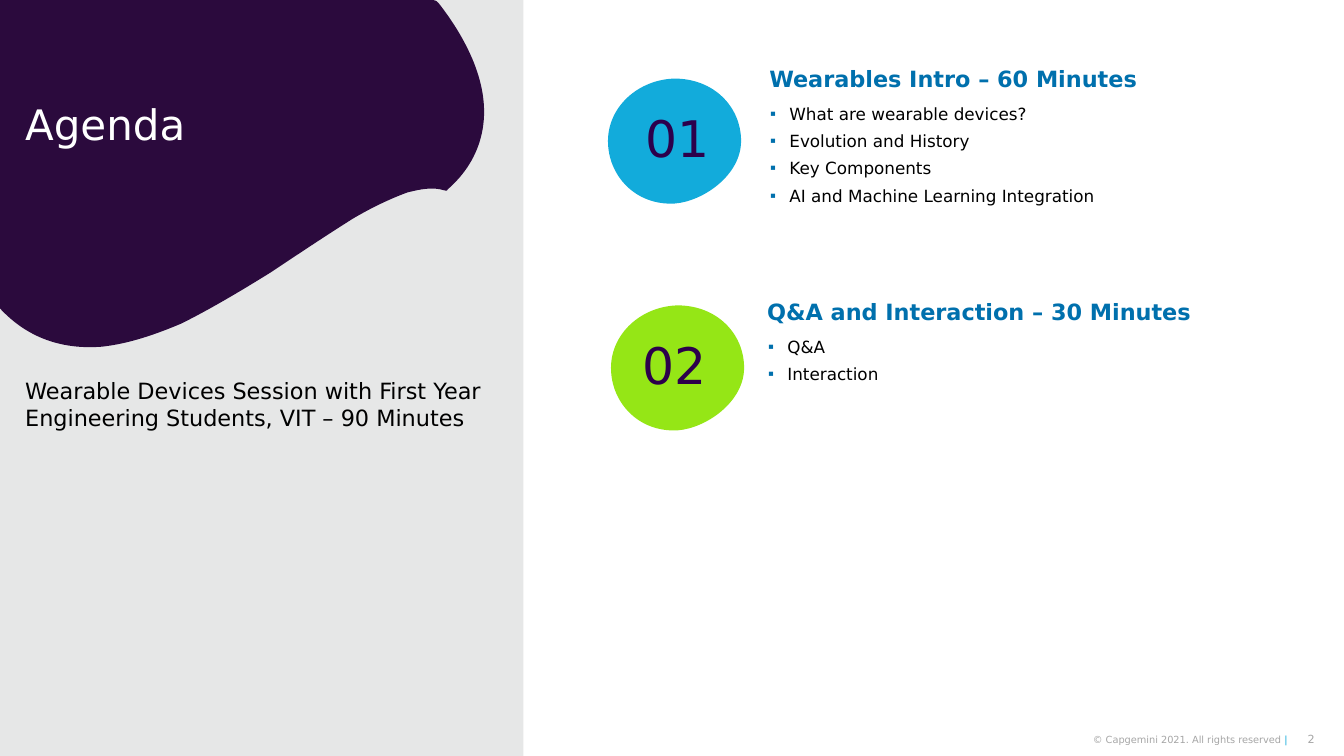
from dataclasses import dataclass

from lxml import etree
from pptx import Presentation
from pptx import util as u
from pptx.dml.color import RGBColor
from pptx.enum import shapes, text
from pptx.oxml.ns import qn


@dataclass(frozen=True)
class Theme:
    font: str = "DejaVu Sans"
    bullet_font: str = "Arial"
    white: str = "FFFFFF"
    black: str = "000000"
    panel: str = "E6E7E7"
    plum: str = "2B0A3D"
    number: str = "2C004B"
    blue: str = "0070AD"
    cyan: str = "12ABDB"
    green: str = "95E616"
    grey: str = "A6A6A6"
    title_size: float = 30
    number_size: float = 36
    heading_size: float = 16
    bullet_size: float = 12
    page_size: float = 8
    footer_size: float = 7


COVER_START = (0, 3.05)
COVER_CURVES = [
    (0, 3.02, 0, 2.99, 0, 2.97),
    (0, 1.99, 0, 1.01, 0, 0.03),
    (0, 0.02, 0, 0.01, 0, 0),
    (0.04, 0, 0.09, 0, 0.13, 0),
    (1.51, 0, 2.9, 0, 4.29, 0),
    (4.32, 0, 4.33, 0.01, 4.35, 0.03),
    (4.49, 0.21, 4.61, 0.4, 4.7, 0.62),
    (4.79, 0.85, 4.83, 1.08, 4.78, 1.32),
    (4.73, 1.55, 4.61, 1.73, 4.44, 1.88),
    (4.44, 1.89, 4.43, 1.9, 4.41, 1.89),
    (4.29, 1.85, 4.16, 1.88, 4.04, 1.91),
    (3.85, 1.98, 3.67, 2.07, 3.5, 2.17),
    (3.23, 2.34, 2.96, 2.52, 2.69, 2.7),
    (2.4, 2.88, 2.1, 3.06, 1.8, 3.21),
    (1.54, 3.32, 1.28, 3.41, 1.01, 3.44),
    (0.61, 3.47, 0.27, 3.35, 0, 3.06),
    (0, 3.06, 0, 3.06, 0, 3.05),
]
BLOB_START = (0, 0.62)
BLOB_CURVES = [
    (0, 0.28, 0.3, 0.01, 0.66, 0),
    (1.05, 0, 1.32, 0.28, 1.32, 0.62),
    (1.32, 0.96, 0.94, 1.22, 0.66, 1.24),
    (0.27, 1.26, 0, 0.96, 0, 0.62),
]


class SlideBuilder:
    def __init__(self, slide, theme):
        self.slide = slide
        self.theme = theme

    def paint(self, shape, color):
        shape.shadow.inherit = False
        shape.fill.solid()
        shape.fill.fore_color.rgb = RGBColor.from_string(color)
        shape.line.fill.background()

    def rectangle(self, left, top, width, height, color):
        shape = self.slide.shapes.add_shape(
            shapes.MSO_SHAPE.RECTANGLE,
            *map(u.Inches, (left, top, width, height)))
        self.paint(shape, color)

    def curved(self, start, curves, color, left=0, top=0):
        pairs = [start]
        for curve in curves:
            pairs += zip(curve[::2], curve[1::2])
        points = [(u.Inches(left + x), u.Inches(top + y)) for x, y in pairs]
        builder = self.slide.shapes.build_freeform(*points[0])
        builder.add_line_segments(points[1:], close=True)
        shape = builder.convert_to_shape()
        self.paint(shape, color)
        segments = list(shape._element.iter(qn("a:lnTo")))
        for index in range(0, len(segments), 3):
            bend, *rest = segments[index:index + 3]
            bend.tag = qn("a:cubicBezTo")
            for segment in rest:
                bend.append(segment[0])
                segment.getparent().remove(segment)

    def text_frame(self, left, top, width, height, middle):
        box = self.slide.shapes.add_textbox(
            *map(u.Inches, (left, top, width, height)))
        frame = box.text_frame
        frame.word_wrap = True
        frame.margin_left = frame.margin_right = 0
        frame.margin_top = frame.margin_bottom = 0
        anchor = text.MSO_ANCHOR
        frame.vertical_anchor = anchor.MIDDLE if middle else anchor.TOP
        return frame

    def style(self, paragraph, size, color, bold=False):
        font = paragraph.font
        font.name = self.theme.font
        font.size = u.Pt(size)
        font.bold = bold
        font.color.rgb = RGBColor.from_string(color)

    def label(self, words, area, size, color, bold=False, middle=True,
              align=text.PP_ALIGN.LEFT, spacing=0.9):
        paragraph = self.text_frame(*area, middle).paragraphs[0]
        paragraph.add_run().text = words
        paragraph.alignment = align
        paragraph.line_spacing = spacing
        self.style(paragraph, size, color, bold)
        return paragraph

    def bullets(self, items, area):
        frame = self.text_frame(*area, False)
        for index, item in enumerate(items):
            paragraph = frame.add_paragraph() if index else frame.paragraphs[0]
            paragraph.text = item
            paragraph.level = 1
            if index:
                paragraph.space_before = u.Pt(5)
            properties = paragraph._p.get_or_add_pPr()
            properties.set("marL", str(u.Inches(0.2)))
            properties.set("indent", str(u.Inches(-0.19)))
            color = etree.SubElement(properties, qn("a:buClr"))
            etree.SubElement(color, qn("a:srgbClr"), val=self.theme.blue)
            etree.SubElement(properties, qn("a:buFont"),
                             typeface=self.theme.bullet_font)
            etree.SubElement(properties, qn("a:buChar"), char="▪")
            self.style(paragraph, self.theme.bullet_size, self.theme.black)

    def section(self, number, heading, items, color, blob, number_at, text_at):
        theme = self.theme
        left, top = text_at
        self.curved(BLOB_START, BLOB_CURVES, color, *blob)
        self.label(heading, (left, top, 4.4, 0.45), theme.heading_size,
                   theme.blue, bold=True)
        self.bullets(items, (left, top + 0.46, 4.4, 1.29))
        self.label(number, (*number_at, 0.94, 0.53), theme.number_size,
                   theme.number, align=text.PP_ALIGN.CENTER)


def main():
    theme = Theme()
    presentation = Presentation()
    presentation.slide_width = u.Inches(13.33)
    presentation.slide_height = u.Inches(7.5)
    slide = presentation.slides.add_slide(presentation.slide_layouts[6])
    agenda = SlideBuilder(slide, theme)
    right = text.PP_ALIGN.RIGHT

    agenda.label("2", (12.85, 7.27, 0.19, 0.13), theme.page_size, theme.grey,
                 align=right, spacing=1.0)
    footer = agenda.label("© Capgemini 2021. All rights reserved ",
                          (9.86, 7.27, 2.91, 0.13), theme.footer_size,
                          theme.grey, align=right, spacing=1.0)
    divider = footer.add_run()
    divider.text = "|"
    divider.font.color.rgb = RGBColor.from_string(theme.cyan)

    agenda.rectangle(0, 0, 5.19, 7.5, theme.panel)
    agenda.curved(COVER_START, COVER_CURVES, theme.plum)
    agenda.label("Agenda", (0.25, 0, 3.97, 2.52), theme.title_size, theme.white)
    agenda.label("Wearable Devices Session with First Year Engineering "
                 "Students, VIT – 90 Minutes", (0.25, 3.74, 4.69, 3.27),
                 theme.heading_size, theme.black, middle=False, spacing=1.0)

    agenda.section("01", "Wearables Intro – 60 Minutes",
                   ["What are wearable devices?", "Evolution and History",
                    "Key Components", "AI and Machine Learning Integration"],
                   theme.cyan, (6.03, 0.78), (6.25, 1.14), (7.63, 0.57))
    agenda.section("02", "Q&A and Interaction – 30 Minutes",
                   ["Q&A", "Interaction"],
                   theme.green, (6.06, 3.03), (6.22, 3.39), (7.61, 2.88))

    presentation.save("out.pptx")


if __name__ == "__main__":
    main()
